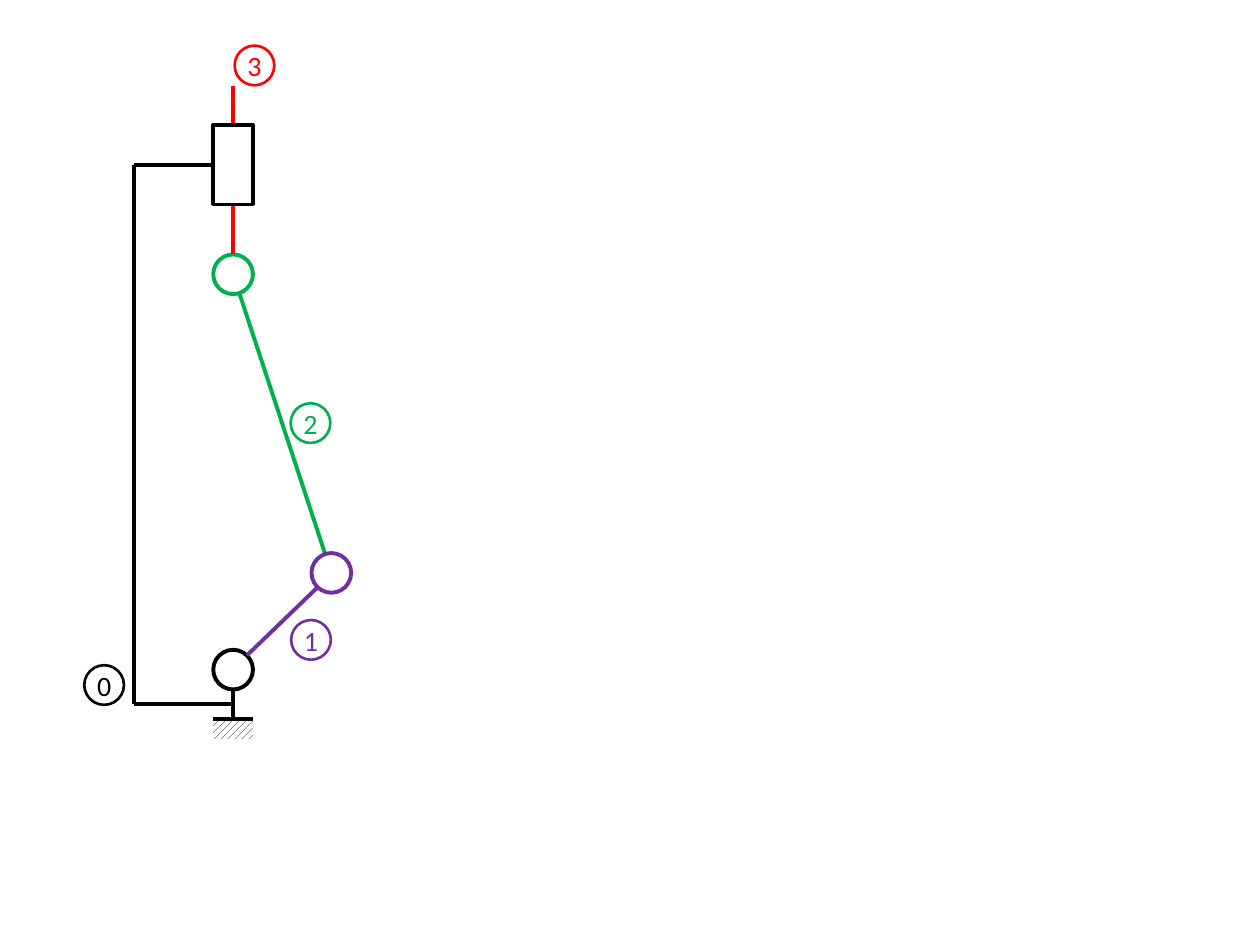
from lxml import etree
from pptx import Presentation
from pptx import util as u
from pptx.dml import color
from pptx.enum import dml, shapes, text
from pptx.oxml import ns

BLACK, WHITE = "000000", "FFFFFF"
PURPLE, GREEN, RED = "7030A0", "00B050", "FF0000"
LINK_WIDTH = 2.25
DIAMETER = 0.8

# Key positions of the mechanism, in cm
AXIS_X = 4.7
FRAME_X = 2.7
GUIDE_Y = 3.32
PISTON_Y = 5.53
GROUND_JOINT_Y = 13.5
FRAME_Y = 14.2
GROUND_Y = 14.5
CRANK_PIN = (6.68, 11.55)


def rgb(value):
    return color.RGBColor.from_string(value)


def add_outline(page, kind, center, width, height, line_color, line_width):
    """Add a white shape placed by its center."""
    x, y = center
    shape = page.shapes.add_shape(kind, u.Cm(x - width / 2), u.Cm(y - height / 2),
                                  u.Cm(width), u.Cm(height))
    shape.shadow.inherit = False
    shape.fill.solid()
    shape.fill.fore_color.rgb = rgb(WHITE)
    shape.line.color.rgb = rgb(line_color)
    shape.line.width = u.Pt(line_width)
    return shape


def add_joint(page, center, line_color, line_width=LINK_WIDTH):
    return add_outline(page, shapes.MSO_SHAPE.OVAL, center, DIAMETER, DIAMETER,
                       line_color, line_width)


def add_label(page, number, center, line_color):
    frame = add_joint(page, center, line_color, 1.5).text_frame
    frame.margin_left = frame.margin_right = 0
    frame.margin_top = frame.margin_bottom = 0
    frame.vertical_anchor = text.MSO_ANCHOR.MIDDLE
    para = frame.paragraphs[0]
    para.text = number
    para.alignment = text.PP_ALIGN.CENTER
    para.font.name = "Calibri"
    para.font.size = u.Pt(16)
    para.font.color.rgb = rgb(line_color)


def add_link(page, start, end, line_color):
    link = page.shapes.add_connector(shapes.MSO_CONNECTOR.STRAIGHT,
                                     *map(u.Cm, start + end))
    link.line.color.rgb = rgb(line_color)
    link.line.width = u.Pt(LINK_WIDTH)
    etree.SubElement(link._element.spPr, ns.qn("a:effectLst"))


def add_ground(page):
    hatch = add_outline(page, shapes.MSO_SHAPE.RECTANGLE, (AXIS_X, GROUND_Y + 0.2),
                        DIAMETER, 0.4, BLACK, 1)
    hatch.line.fill.background()
    hatch.fill.patterned()
    hatch.fill.pattern = dml.MSO_PATTERN.WIDE_UPWARD_DIAGONAL
    hatch.fill.fore_color.rgb = rgb(BLACK)
    hatch.fill.back_color.rgb = rgb(WHITE)
    half = DIAMETER / 2
    add_link(page, (AXIS_X - half, GROUND_Y), (AXIS_X + half, GROUND_Y), BLACK)


def main():
    deck = Presentation()
    deck.slide_width, deck.slide_height = u.Cm(25.4), u.Cm(19.05)
    page = deck.slides.add_slide(deck.slide_layouts[6])
    half = DIAMETER / 2

    # Ground and its joint
    add_joint(page, (AXIS_X, GROUND_JOINT_Y), BLACK)
    add_link(page, (AXIS_X, GROUND_Y), (AXIS_X, GROUND_JOINT_Y + half), BLACK)
    add_ground(page)

    # Crank, connecting rod and piston
    add_link(page, (4.98, 13.21), (6.4, 11.84), PURPLE)
    add_link(page, (AXIS_X, PISTON_Y), CRANK_PIN, GREEN)
    add_joint(page, (AXIS_X, PISTON_Y), GREEN)
    add_link(page, (AXIS_X, 1.73), (AXIS_X, PISTON_Y - half), RED)
    add_joint(page, CRANK_PIN, PURPLE)

    # Guide and fixed frame
    add_outline(page, shapes.MSO_SHAPE.RECTANGLE, (AXIS_X, GUIDE_Y),
                DIAMETER, 2 * DIAMETER, BLACK, 2)
    add_link(page, (FRAME_X, FRAME_Y), (AXIS_X, FRAME_Y), BLACK)
    add_link(page, (FRAME_X, GUIDE_Y), (AXIS_X - half, GUIDE_Y), BLACK)
    add_link(page, (FRAME_X, GUIDE_Y), (FRAME_X, FRAME_Y), BLACK)

    # Part numbers
    for number, center, line_color in (
        ("0", (2.1, 13.81), BLACK),
        ("1", (6.27, 12.9), PURPLE),
        ("2", (6.26, 8.53), GREEN),
        ("3", (5.13, 1.32), RED),
    ):
        add_label(page, number, center, line_color)

    deck.save("out.pptx")


if __name__ == "__main__":
    main()
